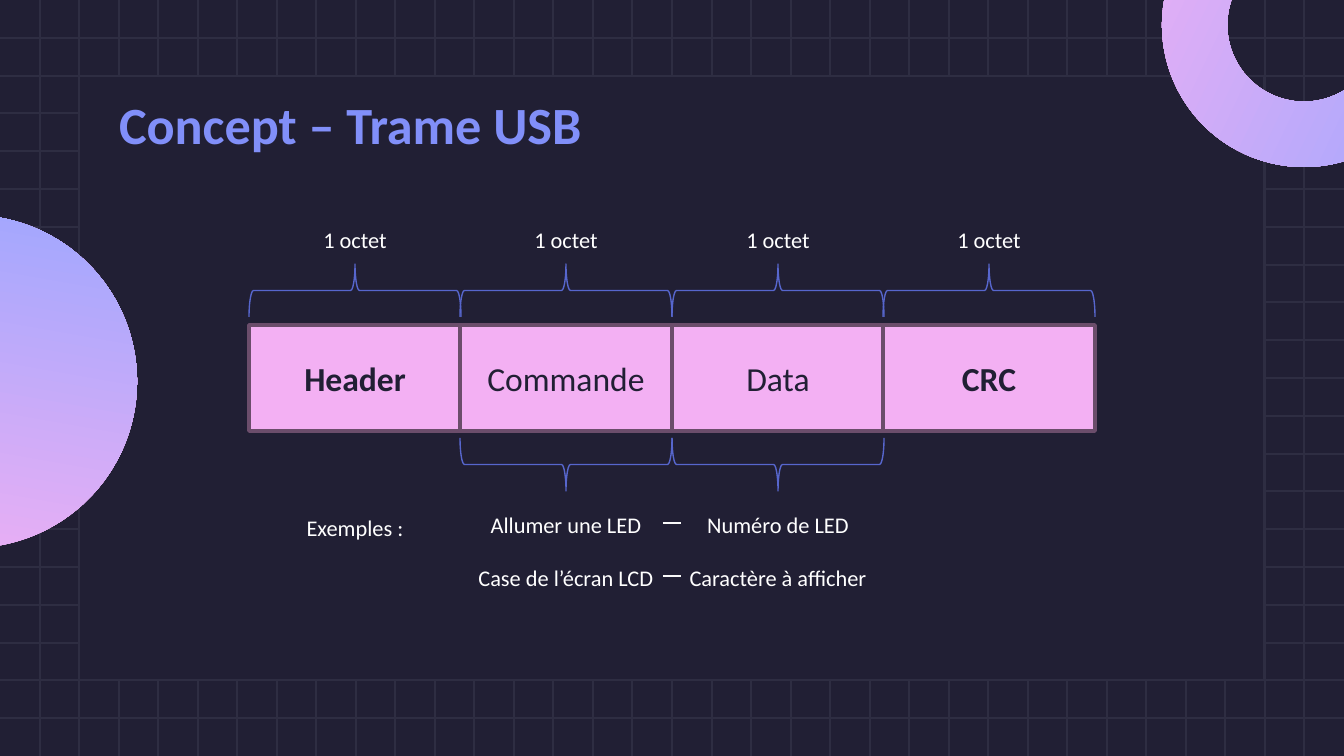
from dataclasses import dataclass

from lxml.etree import SubElement
from pptx import Presentation
from pptx.dml.color import RGBColor
from pptx.enum.shapes import MSO_CONNECTOR, MSO_SHAPE
from pptx.enum.text import MSO_ANCHOR, PP_ALIGN
from pptx.oxml.ns import qn
from pptx.util import Pt

WIDE, HIGH = 1344, 756
SCALE = 9144000 / WIDE


def px(count):
    return round(count * SCALE)


@dataclass(frozen=True)
class Theme:
    font: str = "Calibri"
    night: str = "211F34"
    grid: str = "2E2D42"
    title: str = "818FF9"
    pink: str = "F3B0F3"
    blue: str = "9AA6FF"
    edge: str = "6B4D6B"
    brace: str = "5766CD"
    white: str = "FFFFFF"
    dash: str = "F9F9F9"
    head: int = 28
    body: int = 18
    note: int = 12


class Deck:
    def __init__(self, theme):
        self.theme = theme
        self.file = Presentation()
        self.file.slide_width = px(WIDE)
        self.file.slide_height = px(HIGH)
        self.slide = self.file.slides.add_slide(self.file.slide_layouts[6])
        back = self.slide.background.fill
        back.solid()
        back.fore_color.rgb = RGBColor.from_string(theme.night)

    def stroke(self, line, color, width):
        line.color.rgb = RGBColor.from_string(color)
        line.width = Pt(width)

    def line(self, x1, y1, x2, y2, color, width):
        item = self.slide.shapes.add_connector(
            MSO_CONNECTOR.STRAIGHT, px(x1), px(y1), px(x2), px(y2))
        self.stroke(item.line, color, width)
        SubElement(item.element.spPr, qn("a:effectLst"))

    def shape(self, kind, x, y, wide, high, turn=0):
        item = self.slide.shapes.add_shape(kind, px(x), px(y), px(wide), px(high))
        item.shadow.inherit = False
        item.rotation = turn
        return item

    def box(self, x, y, wide, high, color, edge, width):
        item = self.shape(MSO_SHAPE.RECTANGLE, x, y, wide, high)
        item.fill.solid()
        item.fill.fore_color.rgb = RGBColor.from_string(color)
        self.stroke(item.line, edge, width)
        return item

    def round(self, kind, x, y, size, turn):
        item = self.shape(kind, x, y, size, size, turn)
        item.line.fill.background()
        item.fill.gradient()
        item.fill.gradient_angle = 270
        for stop, color in zip(item.fill.gradient_stops, (self.theme.pink, self.theme.blue)):
            stop.color.rgb = RGBColor.from_string(color)
        return item

    def brace(self, x, y, wide, high, turn):
        shift = (wide - high) / 2
        item = self.shape(MSO_SHAPE.RIGHT_BRACE, x + shift, y - shift, high, wide, turn)
        item.fill.background()
        self.stroke(item.line, self.theme.brace, 0.75)

    def label(self, item, text, size, color, bold=False, align=PP_ALIGN.CENTER):
        frame = item.text_frame
        frame.word_wrap = True
        frame.vertical_anchor = MSO_ANCHOR.MIDDLE
        para = frame.paragraphs[0]
        para.text = text
        para.alignment = align
        font = para.font
        font.name, font.size, font.bold = self.theme.font, Pt(size), bold
        font.color.rgb = RGBColor.from_string(color)
        return frame

    def text(self, x, y, wide, high, text, size, color, **style):
        item = self.slide.shapes.add_textbox(px(x), px(y), px(wide), px(high))
        frame = self.label(item, text, size, color, **style)
        frame.margin_left = frame.margin_right = px(13)
        frame.margin_top = frame.margin_bottom = px(13)
        frame.paragraphs[0].line_spacing = 1.15


def main():
    theme = Theme()
    deck = Deck(theme)

    rows, cols = 20, 34
    for row in range(1, rows):
        y = round(row * HIGH / rows)
        deck.line(0, y, WIDE, y, theme.grid, 1.5)
    for col in range(1, cols):
        x = round(col * WIDE / cols)
        deck.line(x, 0, x, HIGH, theme.grid, 1.5)
    deck.box(79, 76, 1185, 604, theme.night, theme.grid, 1.5)

    deck.text(106, 79, 549, 79, "Concept – Trame USB", theme.head, theme.title,
              bold=True, align=PP_ALIGN.LEFT)
    deck.round(MSO_SHAPE.OVAL, -196, 215, 333, 190)
    ring = deck.round(MSO_SHAPE.BLOCK_ARC, 1162, -117, 284, 295.5)
    for spot, value in enumerate((22.31, 0.36, 0.23)):
        ring.adjustments[spot] = value

    left, span, wide, tall = 249, 846, 212, 53
    fields = (("Header", True), ("Commande", False), ("Data", False), ("CRC", True))
    edges = [left + span * spot // len(fields) for spot in range(len(fields))]
    for x, (name, bold) in zip(edges, fields):
        cell = deck.box(x, 325, wide, 106, theme.pink, theme.edge, 2)
        deck.label(cell, name, theme.body, theme.night, bold)
        deck.text(x, 211, wide, tall, "1 octet", theme.note, theme.white)
        deck.brace(x, 264, wide, tall, 270)

    for x in edges[1:3]:
        deck.brace(x, 438, wide, tall, 90)
    deck.text(left, 499, wide, tall, "Exemples :", theme.note, theme.white)
    pairs = (("Allumer une LED", "Numéro de LED"),
             ("Case de l’écran LCD", "Caractère à afficher"))
    for y, pair in zip((496, 549), pairs):
        for x, words in zip(edges[1:3], pair):
            deck.text(x, y, wide, tall, words, theme.note, theme.white)
        deck.line(663, y + 27, 681, y + 27, theme.dash, 0.75)

    deck.file.save("out.pptx")


if __name__ == "__main__":
    main()
